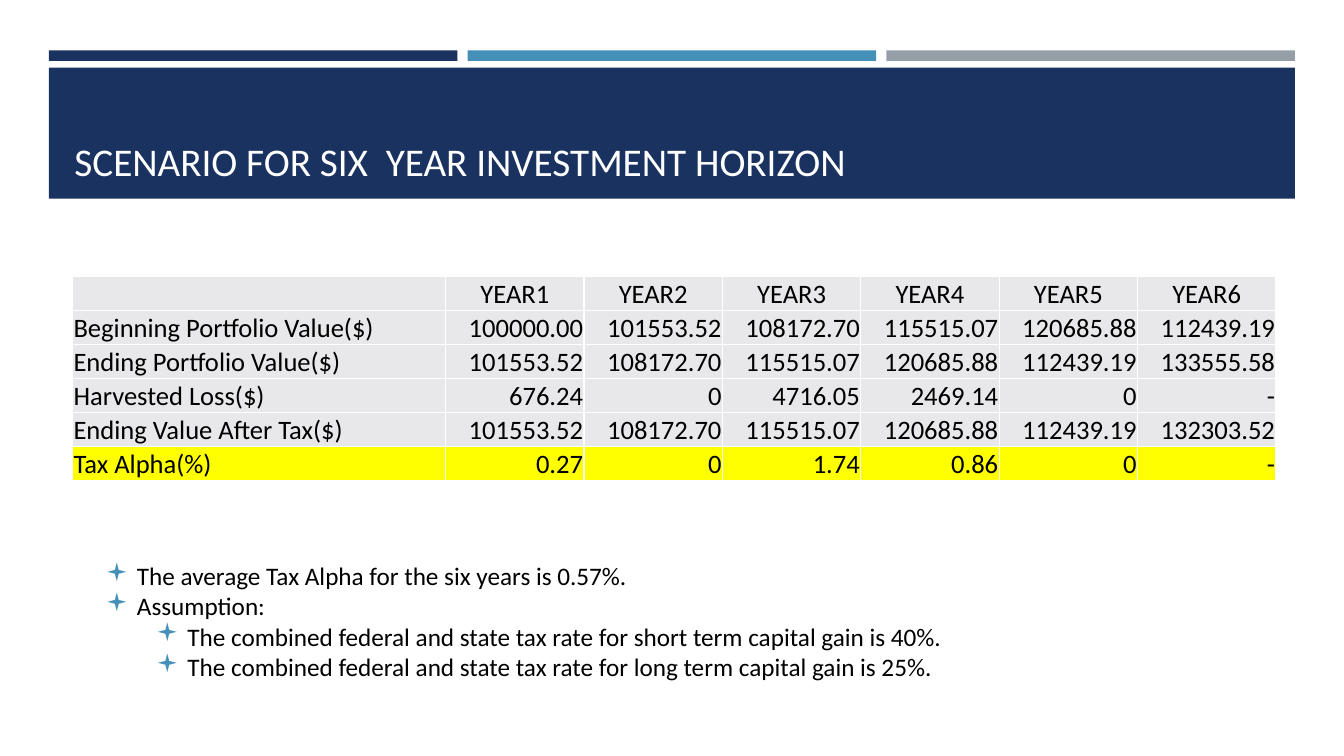
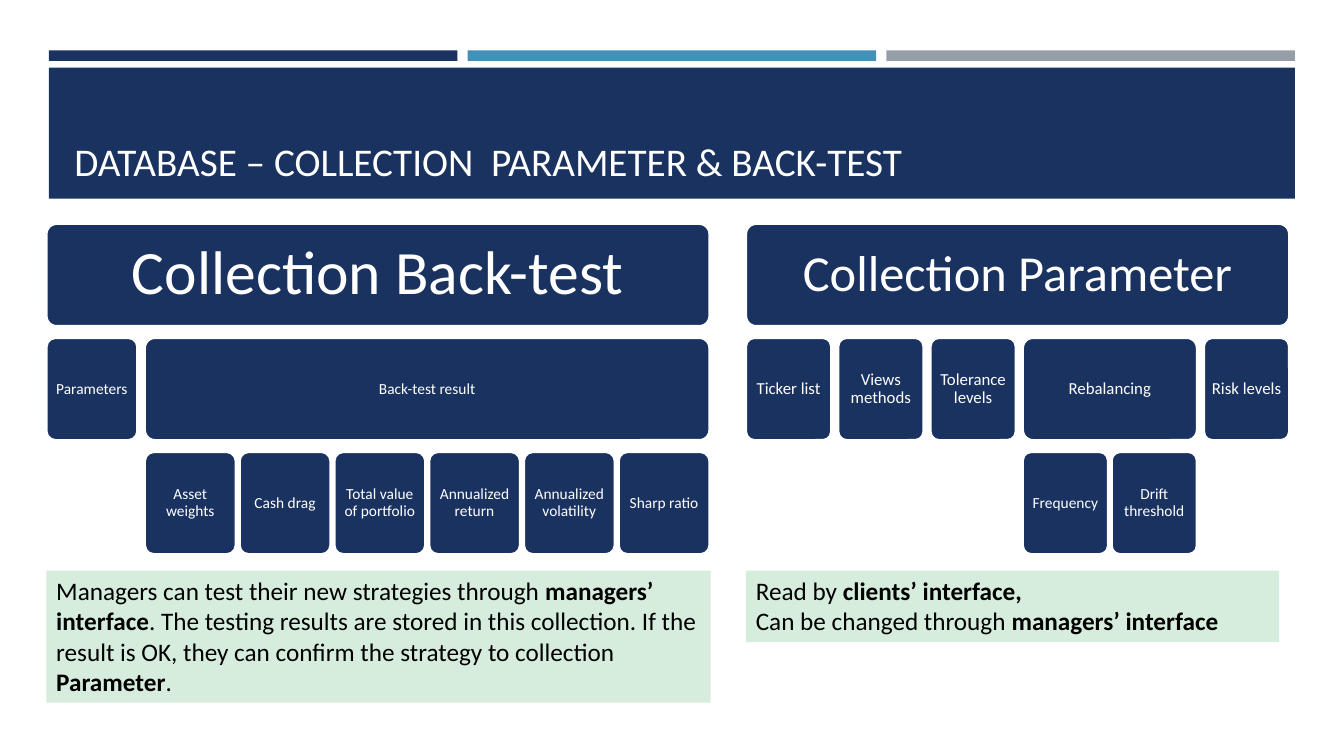
import dataclasses

import pptx
import pptx.dml.color
import pptx.enum.shapes
import pptx.enum.text
import pptx.oxml
import pptx.oxml.ns
import pptx.util

NAVY, BLUE, GREY = "1A3260", "4590B8", "969FA7"
WHITE, BLACK, CELL, YELLOW, MINT = "FFFFFF", "000000", "E8E8EA", "FFFF00", "D6EDDE"
FONT = "Calibri"
ALIGN = pptx.enum.text.PP_ALIGN
ANCHOR = pptx.enum.text.MSO_ANCHOR
SHAPE = pptx.enum.shapes.MSO_SHAPE


@dataclasses.dataclass
class Box:
    left: float
    top: float
    width: float
    height: float

    def share(self, left, top, width, height):
        return Box(
            self.left + self.width * left / 100,
            self.top + self.height * top / 100,
            self.width * width / 100,
            self.height * height / 100,
        )

    def place(self):
        return [round(side) for side in (self.left, self.top, self.width, self.height)]


def color(hex_string):
    return pptx.dml.color.RGBColor.from_string(hex_string)


def add_span(para, text, size, hex_string, bold=False):
    span = para.add_run()
    span.text = text
    span.font.name = FONT
    span.font.size = pptx.util.Pt(size)
    span.font.bold = bold
    span.font.color.rgb = color(hex_string)


def next_para(frame, index):
    return frame.add_paragraph() if index else frame.paragraphs[0]


def add_block(page, box, fill, kind=SHAPE.RECTANGLE):
    block = page.shapes.add_shape(kind, *box.place())
    block.shadow.inherit = False
    block.fill.solid()
    block.fill.fore_color.rgb = color(fill)
    block.line.fill.background()
    block.text_frame.word_wrap = True
    return block


def add_text_box(page, box):
    frame = page.shapes.add_textbox(*box.place()).text_frame
    frame.word_wrap = True
    return frame


def add_header(page, box, title):
    gap = 0.82
    strip = (100 - 2 * gap) / 3
    for column, fill in enumerate((NAVY, BLUE, GREY)):
        add_block(page, box.share(column * (strip + gap), 0, strip, 7.1), fill)
    add_block(page, box.share(0, 11.6, 100, 88.4), NAVY)
    frame = add_text_box(page, box.share(1.25, 18.4, 97.5, 75.5))
    frame.vertical_anchor = ANCHOR.BOTTOM
    add_span(frame.paragraphs[0], title, 28, WHITE)


def add_cell_borders(cell):
    properties = cell._tc.get_or_add_tcPr()
    for position, side in enumerate(("lnL", "lnR", "lnT", "lnB")):
        border = pptx.oxml.parse_xml(
            f'<a:{side} {pptx.oxml.ns.nsdecls("a")} w="12700"><a:solidFill>'
            f'<a:srgbClr val="{WHITE}"/></a:solidFill></a:{side}>'
        )
        properties.insert(position, border)


def add_values_table(page, box, rows):
    label_share = 0.31
    columns = len(rows[0])
    table = page.shapes.add_table(len(rows), columns, *box.place()).table
    for index, column in enumerate(table.columns):
        width_share = (1 - label_share) / (columns - 1) if index else label_share
        column.width = round(box.width * width_share)
    for row_index, values in enumerate(rows):
        table.rows[row_index].height = round(box.height / len(rows))
        for column_index, value in enumerate(values):
            cell = table.cell(row_index, column_index)
            cell.fill.solid()
            cell.fill.fore_color.rgb = color(YELLOW if row_index == len(rows) - 1 else CELL)
            cell.margin_left = cell.margin_right = cell.margin_top = pptx.util.Inches(0.01)
            cell.margin_bottom = 0
            cell.vertical_anchor = ANCHOR.BOTTOM
            add_cell_borders(cell)
            para = cell.text_frame.paragraphs[0]
            if column_index:
                para.alignment = ALIGN.RIGHT if row_index else ALIGN.CENTER
            if value:
                add_span(para, value, 19, BLACK)


def add_bullets(page, box, items):
    frame = add_text_box(page, box)
    for index, (level, text) in enumerate(items):
        para = next_para(frame, index)
        para.level = level
        properties = para._p.get_or_add_pPr()
        properties.set("marL", str(pptx.util.Inches(0.31 + 0.5 * level)))
        properties.set("indent", str(-pptx.util.Inches(0.31)))
        names = pptx.oxml.ns.nsdecls("a")
        for mark in (
            f'<a:buClr {names}><a:srgbClr val="{BLUE}"/></a:buClr>',
            f'<a:buFont {names} typeface="Wingdings"/>',
            f'<a:buChar {names} char="▪"/>',
        ):
            properties.append(pptx.oxml.parse_xml(mark))
        add_span(para, text, 18, BLACK)


def sibling_gap(depth):
    return 0.04 if depth else 0.08


def leaf_count(node, depth=0):
    children = node[1:]
    if not children:
        return 1
    gaps = sibling_gap(depth) * (len(children) - 1)
    return gaps + sum(leaf_count(child, depth + 1) for child in children)


def add_tree(page, box, tree, sizes):
    leaf = box.width / leaf_count(tree)
    row, pitch = box.height * 0.31, box.height * 0.345

    def add_node(node, left, depth):
        width = leaf * leaf_count(node, depth)
        place = Box(left, box.top + depth * pitch, width, row)
        block = add_block(page, place, NAVY, SHAPE.ROUNDED_RECTANGLE)
        block.adjustments[0] = 0.1
        block.line.color.rgb = color(WHITE)
        block.line.width = pptx.util.Pt(1.75)
        frame = block.text_frame
        frame.margin_left = frame.margin_right = pptx.util.Inches(0.05)
        frame.vertical_anchor = ANCHOR.MIDDLE
        para = frame.paragraphs[0]
        para.alignment = ALIGN.CENTER
        para.line_spacing = 0.9
        add_span(para, node[0], sizes[depth], WHITE)
        for child in node[1:]:
            add_node(child, left, depth + 1)
            left += leaf * (leaf_count(child, depth + 1) + sibling_gap(depth))

    add_node(tree, box.left, 0)


def add_note(page, box, lines):
    frame = add_block(page, box, MINT).text_frame
    frame.vertical_anchor = ANCHOR.TOP
    for index, pieces in enumerate(lines):
        para = next_para(frame, index)
        para.alignment = ALIGN.LEFT
        for position, text in enumerate(pieces):
            add_span(para, text, 18, BLACK, bold=position % 2 == 1)


def start_page(deck, title):
    page = deck.slides.add_slide(deck.slide_layouts[6])
    box = Box(0, 0, deck.slide_width, deck.slide_height)
    add_header(page, box.share(3.64, 6.67, 92.7, 19.6), title)
    return page, box


def add_scenario_page(deck):
    page, box = start_page(deck, "SCENARIO FOR SIX  YEAR INVESTMENT HORIZON")
    beginning = ["100000.00", "101553.52", "108172.70", "115515.07", "120685.88", "112439.19"]
    rows = [
        ["", *(f"YEAR{year}" for year in range(1, 7))],
        ["Beginning Portfolio Value($)", *beginning],
        ["Ending Portfolio Value($)", *beginning[1:], "133555.58"],
        ["Harvested Loss($)", "676.24", "0", "4716.05", "2469.14", "0", "-"],
        ["Ending Value After Tax($)", *beginning[1:], "132303.52"],
        ["Tax Alpha(%)", "0.27", "0", "1.74", "0.86", "0", "-"],
    ]
    add_values_table(page, box.share(5.4, 36.53, 89.55, 27.1), rows)
    bullets = [
        (0, "The average Tax Alpha for the six years is 0.57%."),
        (0, "Assumption:"),
        (1, "The combined federal and state tax rate for short term capital gain is 40%."),
        (1, "The combined federal and state tax rate for long term capital gain is 25%."),
    ]
    add_bullets(page, box.share(7.13, 73.47, 64.73, 17.47), bullets)


def add_database_page(deck):
    page, box = start_page(deck, "DATABASE – COLLECTION  PARAMETER & BACK-TEST")
    back_test = (
        "Collection Back-test",
        ("Parameters",),
        (
            "Back-test result",
            ("Asset weights",),
            ("Cash drag",),
            ("Total value of portfolio",),
            ("Annualized return",),
            ("Annualized volatility",),
            ("Sharp ratio",),
        ),
    )
    parameter = (
        "Collection Parameter",
        ("Ticker list",),
        ("Views methods",),
        ("Tolerance levels",),
        ("Rebalancing", ("Frequency",), ("Drift threshold",)),
        ("Risk levels",),
    )
    add_tree(page, box.share(3.45, 29.6, 49.35, 43.73), back_test, (44, 11, 11))
    add_tree(page, box.share(55.5, 29.6, 40.43, 43.73), parameter, (36, 12, 11))
    back_test_note = [
        (
            "Managers can test their new strategies through ",
            "managers’ interface",
            ". The testing results are stored in this collection. "
            "If the result is OK, they can confirm the strategy to collection ",
            "Parameter",
            ".",
        )
    ]
    parameter_note = [
        ("Read by ", "clients’ interface,"),
        ("Can be changed through ", "managers’ interface"),
    ]
    add_note(page, box.share(3.45, 75.47, 49.43, 17.47), back_test_note)
    add_note(page, box.share(55.5, 75.47, 39.68, 9.47), parameter_note)


def main():
    deck = pptx.Presentation()
    deck.slide_width = pptx.util.Inches(13.33)
    deck.slide_height = pptx.util.Inches(7.5)
    add_scenario_page(deck)
    add_database_page(deck)
    deck.save("out.pptx")


if __name__ == "__main__":
    main()
